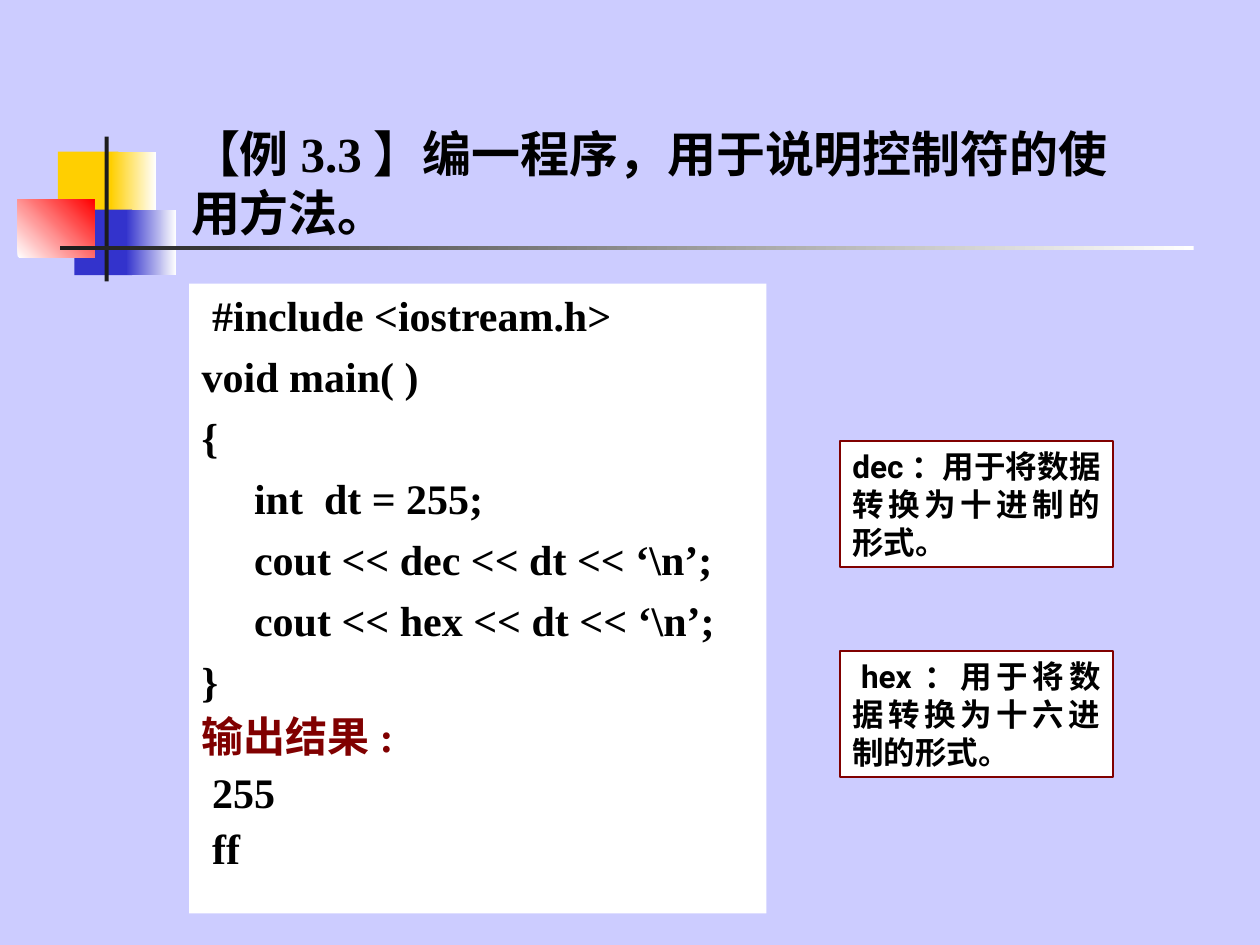
from dataclasses import dataclass

from lxml import etree
from pptx import Presentation
from pptx import util as u
from pptx.dml.color import RGBColor
from pptx.enum import shapes, text
from pptx.oxml import ns


@dataclass(frozen=True)
class Theme:
    background: str = "CCCCFF"
    paper: str = "FFFFFF"
    ink: str = "000000"
    accent: str = "800000"
    bar: str = "1C1C1C"
    yellow: str = "FFCF01"
    blue: str = "3333CC"
    red: str = "FF0000"
    serif: str = "Times New Roman"
    sans: str = "Roboto"
    chinese: str = "Noto Sans CJK SC"
    title_size: int = 28
    code_size: int = 24
    note_size: int = 18


THEME = Theme()
CELL = u.Inches(1) / 12  # the slide is a grid of 120 columns by 90 rows


def cells(count):
    return u.Emu(round(count * CELL))


def place(shape, box):
    for name, value in zip(("left", "top", "width", "height"), box):
        setattr(shape, name, cells(value))


def add_box(slide, box, colour):
    """Add a plain rectangle without line or shadow."""
    shape = slide.shapes.add_shape(shapes.MSO_SHAPE.RECTANGLE, *map(cells, box))
    shape.shadow.inherit = False
    shape.line.fill.background()
    fill_solid(shape, colour)
    return shape


def fill_solid(shape, colour):
    shape.fill.solid()
    shape.fill.fore_color.rgb = RGBColor.from_string(colour)


def fill_gradient(shape, start, end, angle):
    shape.fill.gradient()
    shape.fill.gradient_angle = angle
    for stop, position, colour in zip(shape.fill.gradient_stops, (0, 1), (start, end)):
        stop.position = position
        stop.color.rgb = RGBColor.from_string(colour)


def set_frame(frame, anchor):
    options = dict(
        word_wrap=True, auto_size=text.MSO_AUTO_SIZE.NONE, vertical_anchor=anchor,
        margin_left=u.Inches(0.1), margin_right=u.Inches(0.1),
        margin_top=u.Inches(0.05), margin_bottom=u.Inches(0.05))
    for name, value in options.items():
        setattr(frame, name, value)


def set_paragraph(paragraph, indent=0, **options):
    """Remove the bullet, indent the first line in points, apply options."""
    properties = paragraph._p.get_or_add_pPr()
    properties.set("marL", "0")
    properties.set("indent", str(u.Pt(indent)))
    for name, value in options.items():
        setattr(paragraph, name, value)
    etree.SubElement(properties, ns.qn("a:buNone"))


def add_run(paragraph, words, size, font=THEME.serif, colour=THEME.ink):
    run = paragraph.add_run()
    run.text = words
    run.font.color.rgb = RGBColor.from_string(colour)
    for name, value in dict(size=u.Pt(size), bold=True, name=font).items():
        setattr(run.font, name, value)
    east_asian = etree.SubElement(run._r.get_or_add_rPr(), ns.qn("a:ea"))
    east_asian.set("typeface", THEME.chinese)


def draw_ornament(slide, box):
    """Overlapping squares crossed by two thin bars."""
    left, top, width, height = box
    square, thin = 6.24, 0.4
    parts = [
        ((3.84, 1.44, 5.76, square), THEME.yellow, None),
        ((8.88, 1.44, 4.32, square), THEME.yellow, 180),
        ((5.4, 6.96, 5.52, square), THEME.blue, None),
        ((10.32, 6.96, 4.8, square), THEME.blue, 180),
        ((0, 6, 7.32, 5.52), THEME.red, 45),
        ((8.28, 0, thin, height), THEME.bar, None),
        ((4.08, 10.4, width - 4.08, thin), THEME.bar, 180),
    ]
    for (x, y, w, h), colour, angle in parts:
        shape = add_box(slide, (left + x, top + y, w, h), colour)
        if angle is not None:
            fill_gradient(shape, THEME.paper, colour, angle)


def write_title(title, box):
    place(title, box)
    set_frame(title.text_frame, text.MSO_ANCHOR.BOTTOM)
    paragraph = title.text_frame.paragraphs[0]
    set_paragraph(paragraph, alignment=text.PP_ALIGN.LEFT)
    for words, font in (("【例", THEME.chinese), ("3.3", THEME.serif),
                        ("】编一程序，用于说明控制符的使用方法。", THEME.chinese)):
        add_run(paragraph, words, THEME.title_size, font)


def write_code(body, box):
    """Program listing followed by its output."""
    place(body, box)
    fill_solid(body, THEME.paper)
    frame = body.text_frame
    set_frame(frame, text.MSO_ANCHOR.TOP)
    space, step = 6, 30  # first-line indents in points
    program = [
        (space, "#include <iostream.h>"), (0, "void main( )"), (0, "{"),
        (step, "int  dt = 255;"),
        (step, "cout << dec << dt << ‘\\n’;"),
        (step, "cout << hex << dt << ‘\\n’;"), (0, "}"),
    ]
    output = [(0, "输出结果:"), (space, "255"), (space, "ff")]
    for number, (indent, words) in enumerate(program + output):
        paragraph = frame.add_paragraph() if number else frame.paragraphs[0]
        set_paragraph(paragraph, indent, space_before=u.Pt(6),
                      line_spacing=1.0 if number < len(program) else 0.9)
        if number == len(program):
            add_run(paragraph, words[:-1], THEME.code_size, THEME.chinese, THEME.accent)
            add_run(paragraph, words[-1], THEME.code_size, colour=THEME.accent)
        else:
            add_run(paragraph, words, THEME.code_size)


def draw_note(slide, box, term, meaning, indent):
    shape = add_box(slide, box, THEME.paper)
    shape.line.color.rgb = RGBColor.from_string(THEME.accent)
    shape.line.width = u.Pt(0.75)
    set_frame(shape.text_frame, text.MSO_ANCHOR.TOP)
    paragraph = shape.text_frame.paragraphs[0]
    set_paragraph(paragraph, indent, alignment=text.PP_ALIGN.JUSTIFY,
                  space_before=u.Pt(4.5))
    add_run(paragraph, term, THEME.note_size, THEME.sans)
    add_run(paragraph, meaning, THEME.note_size)


def main():
    presentation = Presentation()
    presentation.slide_width, presentation.slide_height = cells(120), cells(90)
    slide = presentation.slides.add_slide(presentation.slide_layouts[1])
    fill_solid(slide.background, THEME.background)
    title, body = slide.shapes.title, slide.placeholders[1]

    draw_ornament(slide, (1.68, 13, 112, 13.8))
    # Bring the text in front of the ornament
    for placeholder in (title, body):
        placeholder.element.getparent().append(placeholder.element)
    write_title(title, (17, 8, 92, 15.6))
    write_code(body, (18, 27, 55, 60))

    # Notes on the two manipulators
    notes = [("dec：", "用于将数据转换为十进制的形式。", 0),
             ("hex：", "用于将数据转换为十六进制的形式。", 5)]
    for number, note in enumerate(notes):
        draw_note(slide, (80, 42 + 20 * number, 26, 12), *note)

    presentation.save("out.pptx")


if __name__ == "__main__":
    main()
